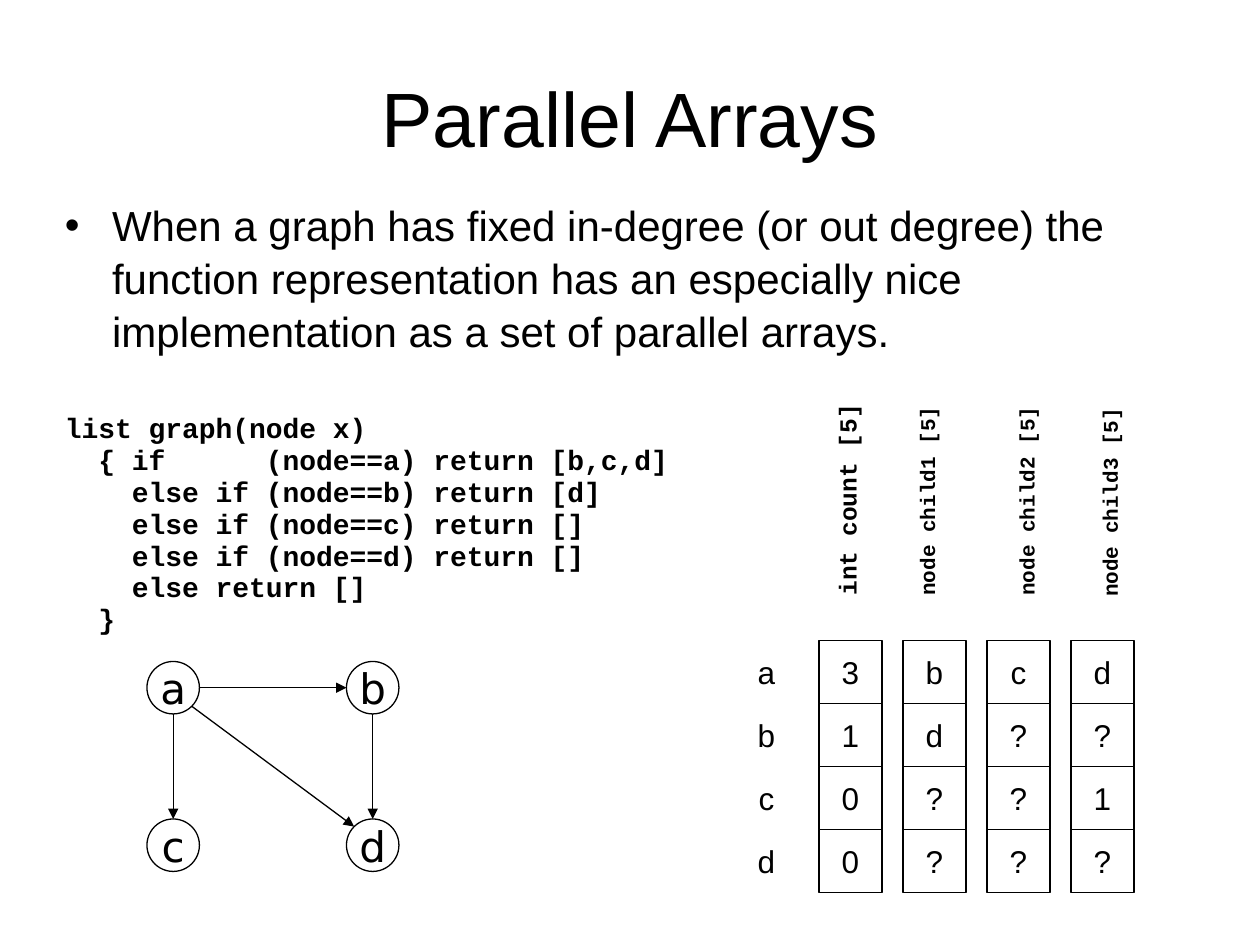
from lxml import etree
from pptx import Presentation
from pptx.dml.color import RGBColor
from pptx.enum.shapes import MSO_CONNECTOR, MSO_SHAPE
from pptx.enum.text import MSO_ANCHOR, PP_ALIGN
from pptx.oxml.ns import qn
from pptx.util import Pt

LEFT, CENTER = PP_ALIGN.LEFT, PP_ALIGN.CENTER
TOP, MIDDLE = MSO_ANCHOR.TOP, MSO_ANCHOR.MIDDLE
OVAL, RECT = MSO_SHAPE.OVAL, MSO_SHAPE.RECTANGLE
STRAIGHT = MSO_CONNECTOR.STRAIGHT
COLORS = {"ink": "000000", "paper": "FFFFFF"}
INK = RGBColor.from_string(COLORS["ink"])
PAPER = RGBColor.from_string(COLORS["paper"])

deck = Presentation()
deck.slide_width, deck.slide_height = Pt(720), Pt(540)
slide = deck.slides.add_slide(deck.slide_layouts[6])
shapes = slide.shapes


def write(shape, lines, size, font="Arial", bold=False, align=CENTER,
          anchor=MIDDLE, wrap=True):
    """Fill a shape with one paragraph per line and return its paragraphs."""
    frame = shape.text_frame
    frame.word_wrap = wrap
    frame.vertical_anchor = anchor
    for i, line in enumerate(lines):
        par = frame.add_paragraph() if i else frame.paragraphs[0]
        par.alignment = align
        run = par.add_run()
        run.text = line
        run.font.size, run.font.name, run.font.bold = Pt(size), font, bold
        run.font.color.rgb = INK
    return frame.paragraphs


def box(x, y, wide, high, kind=None):
    """Add a text box, or an outlined shape if a kind is given."""
    rect = Pt(x), Pt(y), Pt(wide), Pt(high)
    if kind is None:
        return shapes.add_textbox(*rect)
    shape = shapes.add_shape(kind, *rect)
    shape.shadow.inherit = False
    shape.fill.background()
    shape.line.color.rgb = INK
    shape.line.width = Pt(0.75)
    return shape


# Title and bullet
write(box(36, 21.6, 648, 90), ["Parallel Arrays"], 44)

point = write(box(30, 109, 648, 100), [
    "When a graph has fixed in-degree (or out degree) the function "
    "representation has an especially nice implementation as a set of "
    "parallel arrays."], 24, align=LEFT, anchor=TOP)[0]
point.line_spacing = 1.05
props = point._p.get_or_add_pPr()
props.set("marL", str(Pt(27)))
props.set("indent", str(Pt(-27)))
etree.SubElement(props, qn("a:buFont"), typeface="Arial")
etree.SubElement(props, qn("a:buChar"), char="•")

# Code
code = [
    "list graph(node x)",
    "  { if      (node==a) return [b,c,d]",
    "    else if (node==b) return [d]",
    "    else if (node==c) return []",
    "    else if (node==d) return []",
    "    else return []",
    "  }",
]
rows = write(box(30, 236.4, 400, 130), code, 16, "Courier New", True,
             LEFT, TOP)
for i, par in enumerate(rows):
    par.line_spacing = 0.7
    if i:
        par.space_before = Pt(4.75)

# Graph
RAD = 15
nodes = {"a": (99, 393), "b": (213, 393), "c": (99, 483), "d": (213, 483)}
for name, (x, y) in nodes.items():
    disc = box(x - RAD, y - RAD, 2 * RAD, 2 * RAD, OVAL)
    disc.fill.solid()
    disc.fill.fore_color.rgb = PAPER
    write(disc, [name], 24, "DejaVu Sans", wrap=False)

# Each edge leaves and enters the discs along the given direction
edges = [("a", "d", 0.71, 0.71), ("a", "b", 1, 0),
         ("a", "c", 0, 1), ("b", "d", 0, 1)]
for start, end, across, down in edges:
    (x1, y1), (x2, y2) = nodes[start], nodes[end]
    dx, dy = RAD * across, RAD * down
    edge = shapes.add_connector(STRAIGHT, Pt(x1 + dx), Pt(y1 + dy),
                                Pt(x2 - dx), Pt(y2 - dy))
    edge.line.color.rgb = INK
    edge.line.width = Pt(0.75)
    etree.SubElement(edge.line._get_or_add_ln(), qn("a:tailEnd"),
                     type="triangle")
    etree.SubElement(edge._element.spPr, qn("a:effectLst"))

# Arrays, with the row names as the first column
SIDE, STEP = 36, 48
for col, items in enumerate(["abcd", "3100", "bd??", "c???", "d?1?"]):
    for row, item in enumerate(items):
        cell = box(420 + STEP * col, 366 + SIDE * row, SIDE, SIDE,
                   RECT if col else None)
        write(cell, [item], 18, wrap=False)

# Upright array names: text, size, centre x, centre y, length, height
heads = [
    ("int count [5]", 14, 484.2, 275.8, 143.3, 24.5),
    ("node child1 [5]", 12, 529.6, 281.5, 131.8, 21.6),
    ("node child2 [5]", 12, 586.5, 281.5, 131.8, 21.6),
    ("node child3 [5]", 12, 634.1, 282.2, 131.8, 21.6),
]
for text, size, x, y, wide, high in heads:
    head = box(x - wide / 2, y - high / 2, wide, high)
    head.rotation = 270
    write(head, [text], size, "Courier New", True, LEFT, TOP)

deck.save("out.pptx")
